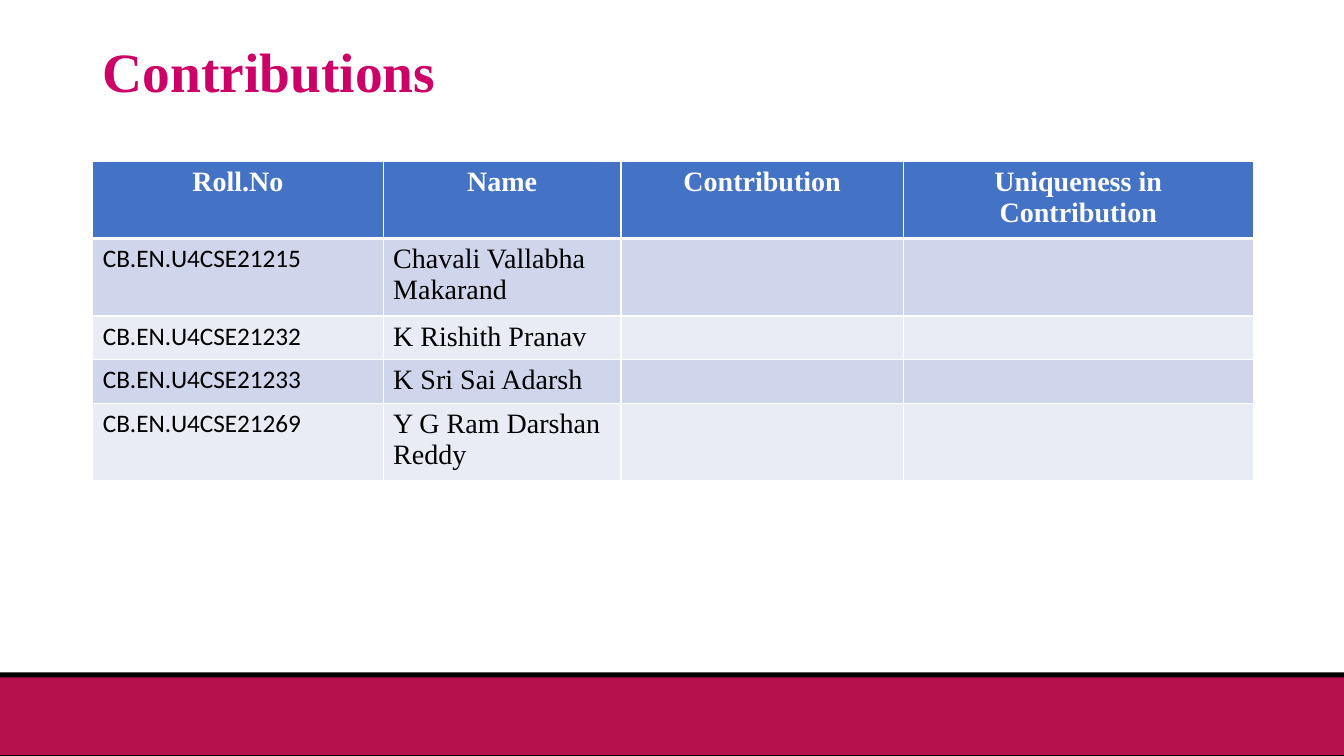
from dataclasses import dataclass

import pptx
import pptx.dml.color
import pptx.enum.shapes
import pptx.enum.text
import pptx.oxml
import pptx.oxml.ns
import pptx.util

EMU_PER_PX = 9144  # 100 px to the inch
ROW_HEIGHT = 41
COLUMN_WIDTHS = (288, 236, 280, 347)


@dataclass(frozen=True)
class Theme:
    heading: str = "CC0066"
    band: str = "B6114D"
    black: str = "000000"
    white: str = "FFFFFF"
    header_fill: str = "4472C4"
    row_fills: tuple[str, str] = ("CFD5EA", "E9EBF5")
    serif: str = "Times New Roman"
    sans: str = "Calibri"
    title_size: float = 39.6
    name_size: float = 20
    roll_size: float = 18


@dataclass(frozen=True)
class Box:
    left: int
    top: int
    width: int
    height: int

    def emu(self) -> tuple[int, int, int, int]:
        return px(self.left), px(self.top), px(self.width), px(self.height)


@dataclass(frozen=True)
class Band:
    box: Box
    color: str


@dataclass(frozen=True)
class Style:
    font: str
    size: float
    color: str
    bold: bool = False
    centred: bool = False


@dataclass(frozen=True)
class Member:
    roll: str
    name: str
    contribution: str = ""
    uniqueness: str = ""


THEME = Theme()
TITLE_STYLE = Style(THEME.serif, THEME.title_size, THEME.heading, bold=True)
HEADER_STYLE = Style(THEME.serif, THEME.name_size, THEME.white, bold=True, centred=True)
ROLL_STYLE = Style(THEME.sans, THEME.roll_size, THEME.black)
NAME_STYLE = Style(THEME.serif, THEME.name_size, THEME.black)

FOOTER_BANDS = (
    Band(Box(0, 667, 1333, 83), THEME.black),
    Band(Box(0, 672, 1333, 77), THEME.band),
)
HEADERS = ("Roll.No", "Name", "Contribution", "Uniqueness in Contribution")
MEMBERS = (
    Member("CB.EN.U4CSE21215", "Chavali Vallabha Makarand"),
    Member("CB.EN.U4CSE21232", "K Rishith Pranav"),
    Member("CB.EN.U4CSE21233", "K Sri Sai Adarsh"),
    Member("CB.EN.U4CSE21269", "Y G Ram Darshan Reddy"),
)


def px(length: int) -> int:
    return pptx.util.Emu(length * EMU_PER_PX)


def rgb(color: str) -> pptx.dml.color.RGBColor:
    return pptx.dml.color.RGBColor.from_string(color)


def write(frame, text: str, style: Style) -> None:
    paragraph = frame.paragraphs[0]
    paragraph.text = text
    paragraph.font.name = style.font
    paragraph.font.size = pptx.util.Pt(style.size)
    paragraph.font.bold = style.bold
    paragraph.font.color.rgb = rgb(style.color)
    if style.centred:
        paragraph.alignment = pptx.enum.text.PP_ALIGN.CENTER


def draw_band(slide, band: Band) -> None:
    bar = slide.shapes.add_shape(
        pptx.enum.shapes.MSO_SHAPE.RECTANGLE, *band.box.emu())
    bar.shadow.inherit = False
    bar.fill.solid()
    bar.fill.fore_color.rgb = rgb(band.color)
    bar.line.fill.background()


def draw_title(slide, text: str, box: Box) -> None:
    heading = slide.shapes.add_textbox(*box.emu()).text_frame
    heading.word_wrap = True
    heading.vertical_anchor = pptx.enum.text.MSO_ANCHOR.MIDDLE
    write(heading, text, TITLE_STYLE)
    heading.paragraphs[0].line_spacing = 0.9


def add_borders(cell, top: int, bottom: int) -> None:
    """Draw white cell edges; top and bottom are in points, the sides are 1 pt."""
    properties = cell._tc.get_or_add_tcPr()
    for edge, points in (("L", 1), ("R", 1), ("T", top), ("B", bottom)):
        properties.append(pptx.oxml.parse_xml(
            f'<a:ln{edge} {pptx.oxml.ns.nsdecls("a")} w="{pptx.util.Pt(points)}">'
            f'<a:solidFill><a:srgbClr val="{THEME.white}"/></a:solidFill>'
            f'</a:ln{edge}>'))


def fill_row(table, row: int, texts: tuple[str, ...],
             styles: tuple[Style, ...], color: str) -> None:
    for column, (text, style) in enumerate(zip(texts, styles)):
        cell = table.cell(row, column)
        add_borders(cell, top=3 if row == 1 else 1, bottom=3 if row == 0 else 1)
        cell.fill.solid()
        cell.fill.fore_color.rgb = rgb(color)
        write(cell.text_frame, text, style)


def draw_contributions(slide, left: int, top: int) -> None:
    row_count = len(MEMBERS) + 1
    box = Box(left, top, sum(COLUMN_WIDTHS), row_count * ROW_HEIGHT)
    table = slide.shapes.add_table(row_count, len(HEADERS), *box.emu()).table
    for column, width in zip(table.columns, COLUMN_WIDTHS):
        column.width = px(width)
    fill_row(table, 0, HEADERS, (HEADER_STYLE,) * len(HEADERS), THEME.header_fill)
    for row, member in enumerate(MEMBERS, start=1):
        texts = (member.roll, member.name, member.contribution, member.uniqueness)
        styles = (ROLL_STYLE, NAME_STYLE, NAME_STYLE, NAME_STYLE)
        fill_row(table, row, texts, styles, THEME.row_fills[(row - 1) % 2])


def main() -> None:
    deck = pptx.Presentation()
    deck.slide_width, deck.slide_height = px(1333), px(750)
    slide = deck.slides.add_slide(deck.slide_layouts[6])
    for band in FOOTER_BANDS:
        draw_band(slide, band)
    draw_title(slide, "Contributions", Box(92, 40, 1150, 68))
    draw_contributions(slide, left=92, top=160)
    deck.save("out.pptx")


if __name__ == "__main__":
    main()
